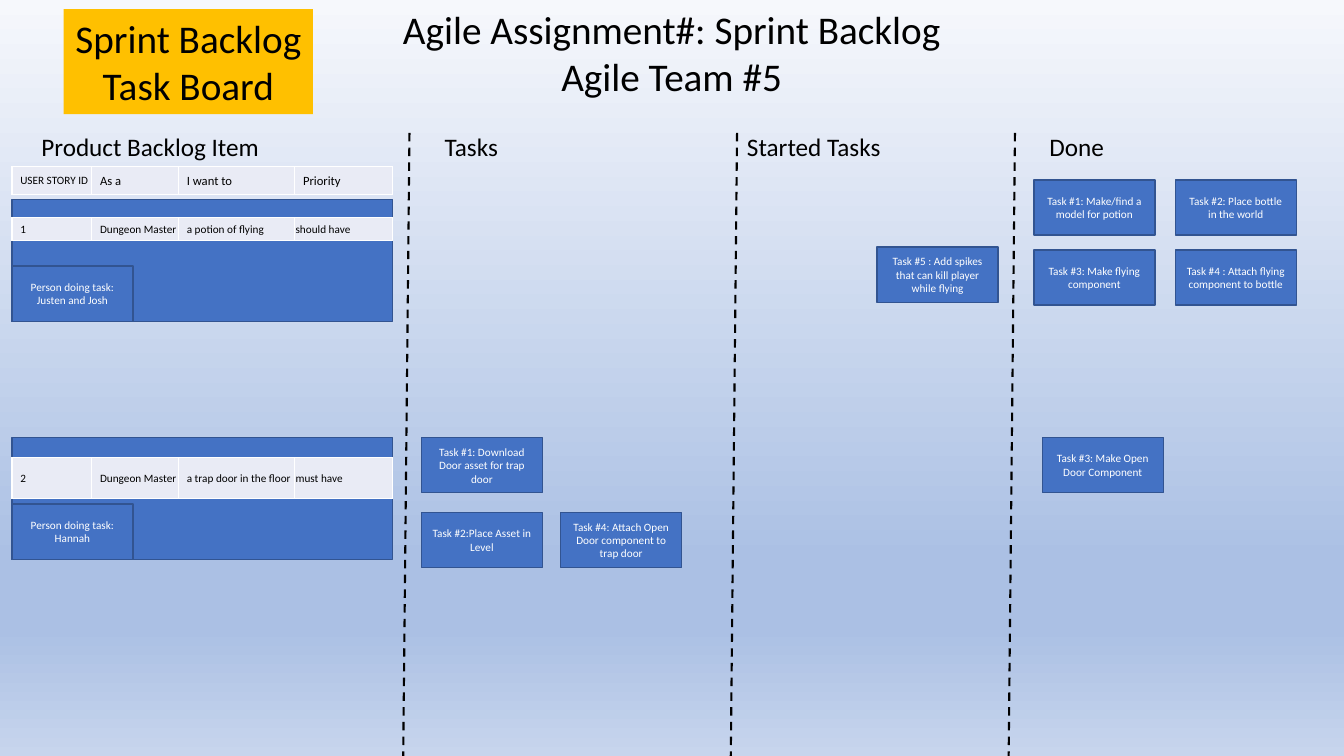
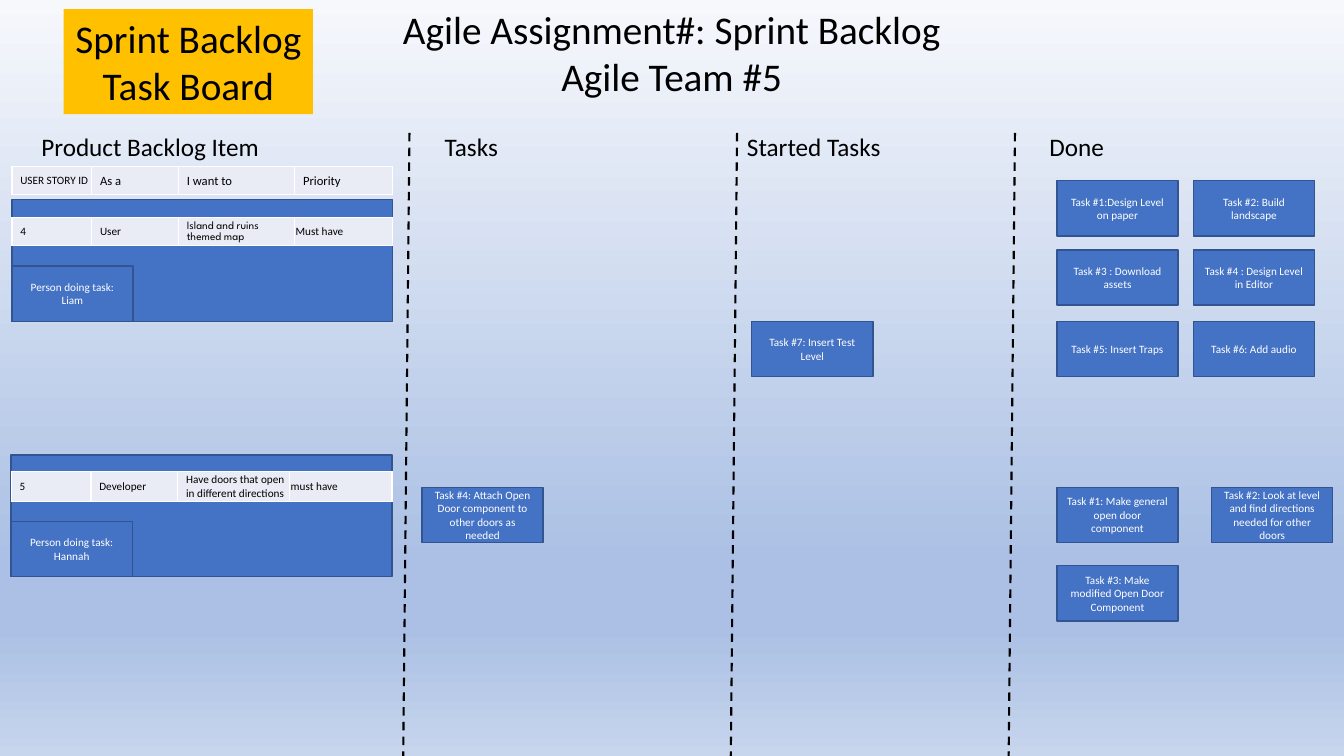
from copy import deepcopy
from dataclasses import dataclass
from itertools import product

from lxml.etree import SubElement
from pptx import Presentation
from pptx.dml.color import RGBColor
from pptx.enum.dml import MSO_LINE
from pptx.enum.shapes import MSO_CONNECTOR, MSO_SHAPE
from pptx.enum.text import MSO_ANCHOR, MSO_AUTO_SIZE, PP_ALIGN
from pptx.oxml.ns import qn
from pptx.util import Pt

FONT = "Calibri"
BLACK, WHITE = "000000", "FFFFFF"
CARD_FILL, CARD_LINE = "4472C4", "325491"
CELL_FILL, BANNER_FILL = "E9EBF5", "FFC000"
BACKDROP = ((0, "F6F8FC"), (0.74, "ABC0E4"), (0.83, "ABC0E4"), (1, "C7D5ED"))

CARD_WIDTH, CARD_HEIGHT = 86.5, 39.5
PANEL_WIDTH, PANEL_HEIGHT = 272, 87
PANEL_LEFT = 8.5
COLUMN_WIDTHS = (57, 62, 83, 70)
CELL_INSET, TIGHT_INSET = 6, 0.7
DIVIDER_TOPS, DIVIDER_SLANT = (292.5, 526.5, 725), 4.5
HEADINGS = ("Product Backlog Item", "Tasks", "Started Tasks", "Done")
HEADING_TABS = (288, 504, 720)


@dataclass(frozen=True)
class Card:
    text: str
    left: float
    top: float


@dataclass(frozen=True)
class TableRow:
    texts: tuple[str, ...]
    left: float
    top: float
    height: float
    widths: tuple[float, ...] = COLUMN_WIDTHS
    sizes: tuple[float, ...] = (8, 8, 8, 8)
    fonts: tuple[str, ...] = (FONT,) * 4
    last_inset: float = TIGHT_INSET


@dataclass(frozen=True)
class Story:
    top: float
    row: TableRow
    owner: str


@dataclass(frozen=True)
class Board:
    stories: list[Story]
    cards: list[Card]


HEADER_ROW = TableRow(("USER STORY ID", "As a", "I want to", "Priority"),
                      PANEL_LEFT, 119, 20, sizes=(8, 9, 9, 9), last_inset=CELL_INSET)


def card_grid(texts: list[str], lefts: tuple, tops: tuple) -> list[Card]:
    """Place the texts row by row on the given lefts and tops."""
    return [Card(text, left, top)
            for text, (top, left) in zip(texts, product(tops, lefts))]


BOARDS = [
    Board(
        stories=[
            Story(142.5, TableRow(("1", "Dungeon Master", "a potion of flying", "should have"),
                                  PANEL_LEFT, 155.5, 16.5),
                  "Justen and Josh"),
            Story(312.5, TableRow(("2", "Dungeon Master", "a trap door in the floor", "must have"),
                                  PANEL_LEFT, 327, 29),
                  "Hannah"),
        ],
        cards=[
            Card("Task #1: Download Door asset for trap door", 301, 312.5),
            *card_grid(["Task #2:Place Asset in Level",
                        "Task #4: Attach Open Door component to trap door"],
                       (301, 400.5), (366,)),
            Card("Task #5 : Add spikes that can kill player while flying", 626.5, 176.5),
            *card_grid(["Task #1: Make/find a model for potion",
                        "Task #2: Place bottle in the world",
                        "Task #3: Make flying component",
                        "Task #4 : Attach flying component to bottle"],
                       (738.5, 839.5), (128.5, 178.5)),
            Card("Task #3: Make Open Door Component", 744.5, 312.5),
        ],
    ),
    Board(
        stories=[
            Story(142.5, TableRow(("4", "User", "Island and ruins themed map", "Must have"),
                                  PANEL_LEFT, 155.5, 16.5,
                                  fonts=(FONT, FONT, "League Spartan", FONT)),
                  "Liam"),
            Story(325, TableRow(("5", "Developer", "Have doors that open in different directions",
                                 "must have"),
                                8, 337, 21, widths=(57, 62, 80, 73)),
                  "Hannah"),
        ],
        cards=[
            Card("Task #4: Attach Open Door component to other doors as needed", 301.5, 348),
            Card("Task #7: Insert Test Level", 537, 229.5),
            *card_grid(["Task #1:Design Level on paper", "Task #2: Build landscape",
                        "Task #3 : Download assets", "Task #4 : Design Level in Editor",
                        "Task #5: Insert Traps", "Task #6: Add audio"],
                       (755, 852.5), (129, 178.5, 229.5)),
            *card_grid(["Task #1: Make general open door component",
                        "Task #2: Look at level and find directions needed for other doors",
                        "Task #3: Make modified Open Door Component"],
                       (755, 865.5), (348, 404)),
        ],
    ),
]


def rgb(value: str) -> RGBColor:
    return RGBColor.from_string(value)


def points(*lengths: float) -> list[Pt]:
    return [Pt(length) for length in lengths]


def format_text(frame, size: float, color: str = BLACK, font: str = FONT, align=PP_ALIGN.LEFT):
    for paragraph in frame.paragraphs:
        paragraph.alignment = align
        for run in paragraph.runs:
            run.font.size = Pt(size)
            run.font.name = font
            run.font.color.rgb = rgb(color)


def paint_backdrop(master):
    """Give the master the vertical gradient that every slide inherits."""
    fill = master.background.fill
    fill.gradient()
    fill.gradient_angle = 270
    stops = master.element.find(".//" + qn("a:gsLst"))
    while len(stops) < len(BACKDROP):
        stops.append(deepcopy(stops[0]))
    for stop, (position, color) in zip(fill.gradient_stops, BACKDROP):
        stop.position = position
        stop.color.rgb = rgb(color)


def add_box(slide, left: float, top: float, width: float, height: float,
            fill: str = CARD_FILL, line: str | None = CARD_LINE):
    box = slide.shapes.add_shape(MSO_SHAPE.RECTANGLE, *points(left, top, width, height))
    box.shadow.inherit = False
    box.fill.solid()
    box.fill.fore_color.rgb = rgb(fill)
    if line:
        box.line.color.rgb = rgb(line)
        box.line.width = Pt(1)
    else:
        box.line.fill.background()
    return box


def add_card(slide, card: Card):
    frame = add_box(slide, card.left, card.top, CARD_WIDTH, CARD_HEIGHT).text_frame
    frame.word_wrap = True
    frame.vertical_anchor = MSO_ANCHOR.MIDDLE
    frame.text = card.text
    format_text(frame, 8, WHITE, align=PP_ALIGN.CENTER)


def set_borders(cell):
    properties = cell._tc.get_or_add_tcPr()
    for side in ("a:lnL", "a:lnR", "a:lnT", "a:lnB"):
        border = SubElement(properties, qn(side), w=str(Pt(1)))
        SubElement(SubElement(border, qn("a:solidFill")), qn("a:srgbClr"), val=WHITE)


def add_row(slide, row: TableRow):
    """Draw a one-row table."""
    table = slide.shapes.add_table(
        1, len(row.texts), *points(row.left, row.top, sum(row.widths), row.height)).table
    table.first_row = table.horz_banding = False
    insets = (CELL_INSET,) * 3 + (row.last_inset,)
    details = zip(table.columns, table.rows[0].cells, row.texts,
                  row.widths, row.sizes, row.fonts, insets)
    for column, cell, text, width, size, font, inset in details:
        column.width = Pt(width)
        cell.margin_left = Pt(inset)
        cell.margin_right = cell.margin_top = Pt(TIGHT_INSET)
        cell.margin_bottom = Pt(0)
        cell.vertical_anchor = MSO_ANCHOR.MIDDLE
        set_borders(cell)
        cell.fill.solid()
        cell.fill.fore_color.rgb = rgb(CELL_FILL)
        cell.text_frame.text = text
        format_text(cell.text_frame, size, font=font)


def add_story(slide, story: Story):
    left = story.row.left
    add_box(slide, left, story.top, PANEL_WIDTH, PANEL_HEIGHT)
    add_row(slide, story.row)
    owner_top = story.top + PANEL_HEIGHT - CARD_HEIGHT
    add_card(slide, Card(f"Person doing task: {story.owner}", left, owner_top))


def set_heading(frame, text: str):
    """Fill a frame with large centred lines that never wrap."""
    frame.text = text
    frame.word_wrap = False
    frame.auto_size = MSO_AUTO_SIZE.NONE
    frame.vertical_anchor = MSO_ANCHOR.TOP
    format_text(frame, 28, align=PP_ALIGN.CENTER)


def add_title(slide):
    title = slide.shapes.title
    title.left, title.top, title.width, title.height = points(278.5, 0, 402.5, 75)
    set_heading(title.text_frame, "Agile Assignment#: Sprint Backlog\nAgile Team #5")


def add_column_headings(slide):
    frame = slide.shapes.add_textbox(*points(22.5, 90, 781, 29)).text_frame
    frame.word_wrap = False
    frame.text = "\t".join(HEADINGS)
    format_text(frame, 18)
    tabs = SubElement(frame.paragraphs[0]._p.get_or_add_pPr(), qn("a:tabLst"))
    for position in HEADING_TABS:
        SubElement(tabs, qn("a:tab"), pos=str(Pt(position)), algn="l")


def add_divider(slide, top_x: float):
    divider = slide.shapes.add_connector(
        MSO_CONNECTOR.STRAIGHT, *points(top_x, 95, top_x - DIVIDER_SLANT, 540))
    divider.line.color.rgb = rgb(BLACK)
    divider.line.width = Pt(1.5)
    divider.line.dash_style = MSO_LINE.DASH
    SubElement(divider._element.spPr, qn("a:effectLst"))


def add_board(deck, board: Board):
    slide = deck.slides.add_slide(deck.slide_layouts.get_by_name("Title Only"))
    add_title(slide)
    banner = add_box(slide, 45.5, 6.5, 178, 75, BANNER_FILL, None)
    set_heading(banner.text_frame, "Sprint Backlog\nTask Board")
    add_column_headings(slide)
    for top_x in DIVIDER_TOPS:
        add_divider(slide, top_x)
    add_row(slide, HEADER_ROW)
    for story in board.stories:
        add_story(slide, story)
    for card in board.cards:
        add_card(slide, card)


def main():
    deck = Presentation()
    deck.slide_width, deck.slide_height = points(960, 540)
    paint_backdrop(deck.slide_master)
    for board in BOARDS:
        add_board(deck, board)
    deck.save("out.pptx")


if __name__ == "__main__":
    main()
